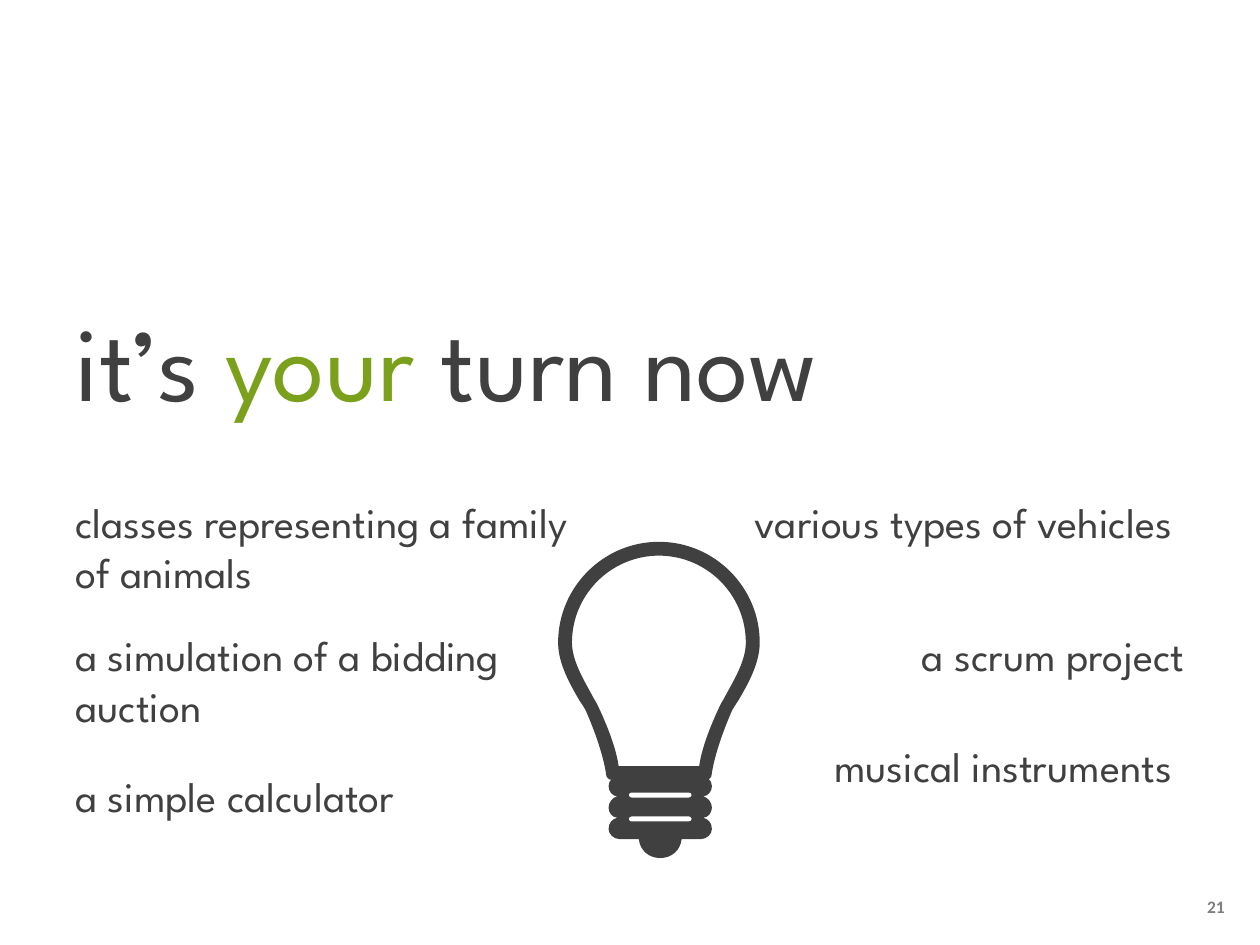
from dataclasses import dataclass

from pptx import Presentation
from pptx.dml.color import RGBColor
from pptx.enum import text
from pptx.oxml import ns
from pptx.util import Inches, Pt
from lxml import etree


@dataclass(frozen=True)
class Theme:
    dark: RGBColor = RGBColor(0x40, 0x40, 0x40)
    accent: RGBColor = RGBColor(0x7A, 0xA0, 0x1C)
    grey: RGBColor = RGBColor(0x7F, 0x7F, 0x7F)
    face: str = "League Spartan"
    number_face: str = "Calibri"
    title_size: Pt = Pt(60)
    idea_size: Pt = Pt(24)
    number_size: Pt = Pt(10)


@dataclass(frozen=True)
class Idea:
    wording: str
    left: float
    top: float
    width: float = 3.56
    height: float = 0.91
    align: text.PP_ALIGN = text.PP_ALIGN.LEFT


Point = tuple[float, float]
# One point is a straight line, three points are a Bezier curve
Segment = tuple[Point, ...]


@dataclass(frozen=True)
class Outline:
    start: Point
    segments: list[Segment]


THEME = Theme()
LEFT_EDGE, RIGHT_EDGE = 0.5, 5.84
RIGHT = text.PP_ALIGN.RIGHT

IDEAS = [
    Idea("a simple calculator", LEFT_EDGE, 6.07, height=0.5),
    Idea("classes representing a family of animals", LEFT_EDGE, 3.89, width=4.45),
    Idea("a simulation of a bidding auction", LEFT_EDGE, 4.95, width=3.6),
    Idea("a scrum project", RIGHT_EDGE + 0.1, 4.95, height=0.5, align=RIGHT),
    Idea("musical instruments", RIGHT_EDGE, 5.83, align=RIGHT),
    Idea("various types of vehicles", RIGHT_EDGE, 3.89, align=RIGHT),
]

# Right halves of the symmetrical bulb outlines, from top to bottom
GLASS_AXIS, BASE_AXIS = 5.23, 5.24
GLASS_OUTER: list[Segment] = [
    ((5.67, 4.3), (6.03, 4.66), (6.03, 5.1)),
    ((6.03, 5.27), (5.93, 5.44), (5.86, 5.56)),
    ((5.84, 5.59), (5.82, 5.62), (5.81, 5.64)),
    ((5.67, 5.96), (5.65, 6.14), (5.65, 6.14)),
    ((5.65, 6.17), (5.63, 6.19), (5.6, 6.19)),
]
GLASS_INNER: list[Segment] = [
    ((5.61, 4.41), (5.92, 4.72), (5.92, 5.1)),
    ((5.92, 5.24), (5.83, 5.39), (5.77, 5.5)),
    ((5.75, 5.54), (5.73, 5.57), (5.72, 5.59)),
    ((5.6, 5.84), (5.56, 6), (5.55, 6.08)),
]
BASE_OUTER: list[Segment] = [
    ((5.56, 6.16),),
    ((5.61, 6.16), (5.65, 6.19), (5.65, 6.24)),
    ((5.65, 6.28), (5.62, 6.32), (5.58, 6.32)),
    ((5.62, 6.33), (5.65, 6.37), (5.65, 6.41)),
    ((5.65, 6.45), (5.62, 6.49), (5.58, 6.49)),
    ((5.62, 6.5), (5.65, 6.53), (5.65, 6.58)),
    ((5.65, 6.62), (5.61, 6.66), (5.56, 6.66)),
    ((5.41, 6.66),),
    ((5.4, 6.75), (5.33, 6.81), (5.24, 6.81)),
]


def slot(top: float) -> list[Segment]:
    middle, bottom = top + 0.02, top + 0.04
    return [
        ((5.47, top),),
        ((5.48, top), (5.49, top + 0.01), (5.49, middle)),
        ((5.49, top + 0.03), (5.48, bottom), (5.47, bottom)),
    ]


def mirrored_outline(axis: float, top: float, half: list[Segment]) -> Outline:
    def flip(point: Point) -> Point:
        return (2 * axis - point[0], point[1])

    start = (axis, top)
    starts = [start] + [segment[-1] for segment in half]
    bottom = starts[-1]
    bridge: list[Segment] = [] if bottom[0] == axis else [(flip(bottom),)]
    back = [tuple(flip(p) for p in (*reversed(segment[:-1]), begin))
            for begin, segment in zip(reversed(starts[:-1]), reversed(half))]
    return Outline(start, half + bridge + back)


def to_emu(point: Point) -> tuple[int, int]:
    return Inches(point[0]), Inches(point[1])


def draw_outlines(slide, outlines: list[Outline]) -> None:
    builder = slide.shapes.build_freeform(*to_emu(outlines[0].start), scale=1.0)
    for index, outline in enumerate(outlines):
        if index:
            builder.move_to(*to_emu(outline.start))
        builder.add_line_segments([to_emu(s[-1]) for s in outline.segments], close=True)
    part = builder.convert_to_shape()
    part.shadow.inherit = False
    part.fill.solid()
    part.fill.fore_color.rgb = THEME.dark
    part.line.fill.background()

    # Bend the straight pieces that have control points
    pieces = list(part._element.iter(ns.qn("a:lnTo")))
    segments = [segment for outline in outlines for segment in outline.segments]
    for piece, segment in zip(pieces, segments):
        if len(segment) == 3:
            curve = etree.Element(ns.qn("a:cubicBezTo"))
            for x, y in map(to_emu, segment):
                etree.SubElement(curve, ns.qn("a:pt"),
                                 x=str(int(x - part.left)), y=str(int(y - part.top)))
            piece.getparent().replace(piece, curve)


def add_text(slide, item: Idea, face: str, size: Pt, color: RGBColor, bold: bool = False) -> None:
    box = slide.shapes.add_textbox(*map(Inches, (item.left, item.top, item.width, item.height)))
    box.text_frame.word_wrap = True
    paragraph = box.text_frame.paragraphs[0]
    paragraph.text = item.wording
    paragraph.alignment = item.align
    font = paragraph.font
    font.name, font.size, font.bold = face, size, bold
    font.color.rgb = color


def add_title(slide) -> None:
    title = slide.shapes.title
    title.left, title.top, title.width, title.height = map(Inches, (LEFT_EDGE, 2.3, 8.9, 1.11))
    frame = title.text_frame
    frame.word_wrap = True
    frame.auto_size = text.MSO_AUTO_SIZE.NONE
    frame.vertical_anchor = text.MSO_ANCHOR.TOP
    paragraph = frame.paragraphs[0]
    paragraph.alignment = text.PP_ALIGN.LEFT
    paragraph.font.name, paragraph.font.size = THEME.face, THEME.title_size
    for wording, color in (("it’s ", THEME.dark), ("your", THEME.accent), (" turn now", THEME.dark)):
        run = paragraph.add_run()
        run.text = wording
        run.font.color.rgb = color


deck = Presentation()
deck.slide_width, deck.slide_height = Inches(10), Inches(7.5)
slide = deck.slides.add_slide(deck.slide_layouts.get_by_name("Title Only"))

# Title and project ideas
add_title(slide)
for idea in IDEAS:
    add_text(slide, idea, THEME.face, THEME.idea_size, THEME.dark)

# Light bulb: glass, then screw base with two slots
draw_outlines(slide, [mirrored_outline(GLASS_AXIS, 4.3, GLASS_OUTER),
                      mirrored_outline(GLASS_AXIS, 4.41, GLASS_INNER)])
draw_outlines(slide, [mirrored_outline(BASE_AXIS, 6.16, BASE_OUTER),
                      *(mirrored_outline(BASE_AXIS, top, slot(top)) for top in (6.29, 6.48))])

# Slide number
add_text(slide, Idea("21", 9.32, 7.06, 0.66, 0.27, text.PP_ALIGN.CENTER),
         THEME.number_face, THEME.number_size, THEME.grey, bold=True)

deck.save("out.pptx")
